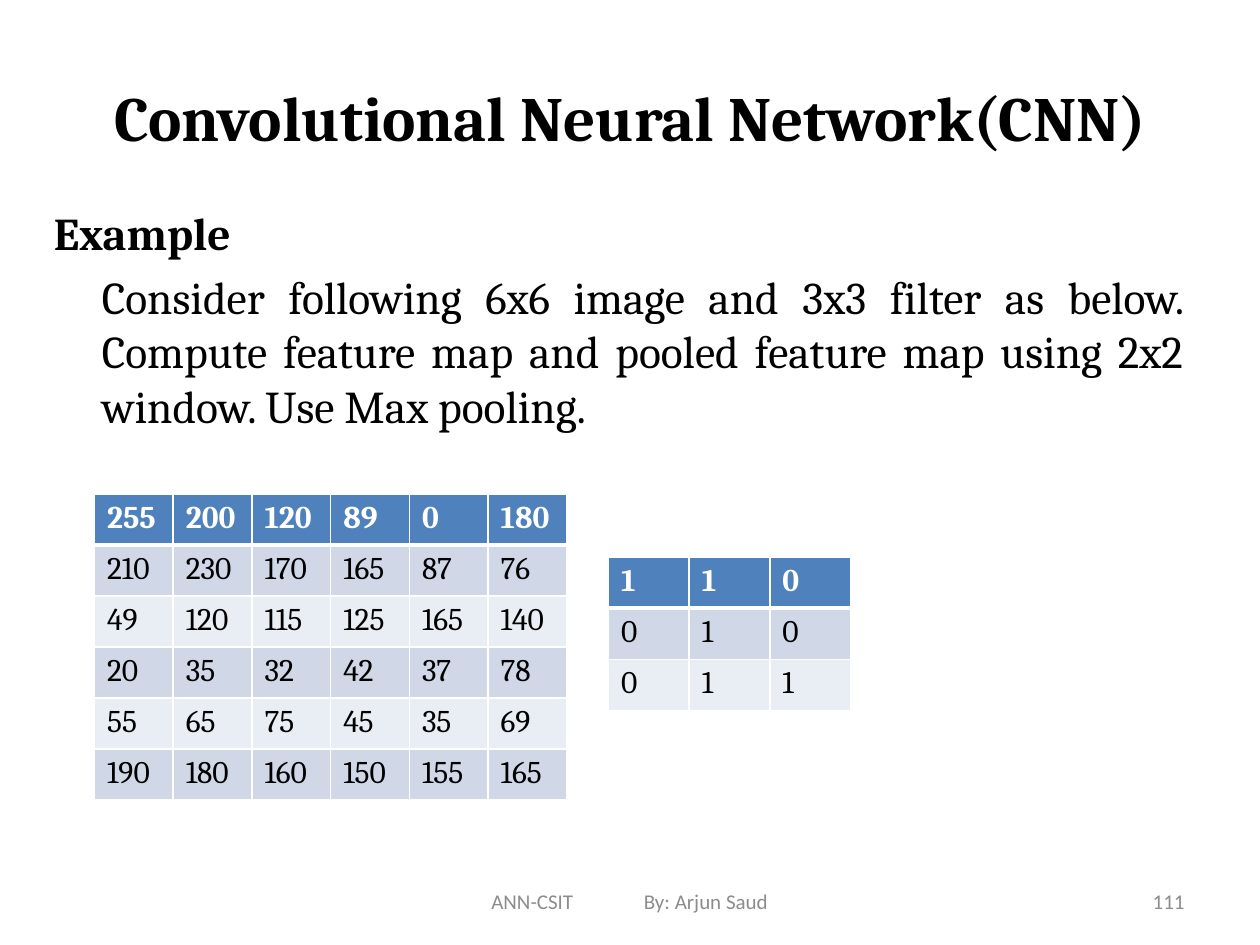
from collections import namedtuple
from dataclasses import dataclass

from lxml.etree import SubElement
from pptx import Presentation
from pptx.dml.color import RGBColor
from pptx.enum.text import MSO_ANCHOR as Anchor, PP_ALIGN as Align
from pptx.oxml import parse_xml
from pptx.oxml.ns import nsdecls, qn
from pptx.util import Inches, Pt

Box = namedtuple("Box", "left top width height")


@dataclass(frozen=True)
class Theme:
    """Colours, fonts and type sizes of the slide."""
    ink: str = "000000"
    white: str = "FFFFFF"
    muted: str = "8C8C8C"
    header: str = "4F81BD"
    bands: tuple = ("D0D8E8", "E9EDF4")
    serif: str = "Cambria"
    sans: str = "Calibri"
    title: int = 36
    body: int = 26
    cell: int = 18
    footer: int = 12


THEME = Theme()
IMAGE = [
    [255, 200, 120, 89, 0, 180],
    [210, 230, 170, 165, 87, 76],
    [49, 120, 115, 125, 165, 140],
    [20, 35, 32, 42, 37, 78],
    [55, 65, 75, 45, 35, 69],
    [190, 180, 160, 150, 155, 165],
]
FILTER = [[1, 1, 0], [0, 1, 0], [0, 1, 1]]


def inches(box):
    """Return the four lengths of a box as Inches."""
    return [Inches(length) for length in box]


def style(para, name, size, color, bold=False):
    """Set the font of a whole paragraph."""
    font = para.font
    font.name, font.size, font.bold = name, Pt(size), bold
    font.color.rgb = RGBColor.from_string(color)


def add_text(page, box, text, align, anchor=Anchor.MIDDLE):
    """Add a wrapping text box and return its frame and first paragraph."""
    frame = page.shapes.add_textbox(*inches(box)).text_frame
    frame.word_wrap = True
    frame.vertical_anchor = anchor
    para = frame.paragraphs[0]
    para.text, para.alignment = text, align
    return frame, para


def add_title(page, box):
    """Place the centred slide title."""
    para = add_text(page, box, "Convolutional Neural Network(CNN)", Align.CENTER)[1]
    style(para, THEME.serif, THEME.title, THEME.ink, bold=True)


def add_body(page, box):
    """Place the example heading and its indented task."""
    frame, heading = add_text(page, box, "Example", Align.JUSTIFY, Anchor.TOP)
    style(heading, THEME.serif, THEME.body, THEME.ink, bold=True)
    task = frame.add_paragraph()
    task.text = (
        "Consider following 6x6 image and 3x3 filter as below. Compute feature map "
        "and pooled feature map using 2x2 window. Use Max pooling."
    )
    task.alignment = Align.JUSTIFY
    task.space_before = Pt(5)
    task._p.get_or_add_pPr().set("marL", str(Inches(0.38)))
    style(task, THEME.serif, THEME.body, THEME.ink)


def add_footer(page, box):
    """Place the course and author, parted by a tab stop."""
    frame, para = add_text(page, box, "ANN-CSIT\tBy: Arjun Saud", Align.LEFT)
    frame.margin_left = Inches(0.48)
    tabs = SubElement(para._p.get_or_add_pPr(), qn("a:tabLst"))
    SubElement(tabs, qn("a:tab"), pos=str(Inches(1.21)), algn="l")
    style(para, THEME.sans, THEME.footer, THEME.muted)


def add_page_number(page, box):
    """Place the page number at the right."""
    para = add_text(page, box, "111", Align.RIGHT)[1]
    style(para, THEME.sans, THEME.footer, THEME.muted)


def set_borders(cell, top, bottom):
    """Draw white cell borders, with the given top and bottom widths."""
    widths = {"lnL": 1, "lnR": 1, "lnT": top, "lnB": bottom}
    for place, (tag, width) in enumerate(widths.items()):
        line = parse_xml(
            f'<a:{tag} {nsdecls("a")} w="{Pt(width)}"><a:solidFill>'
            f'<a:srgbClr val="{THEME.white}"/></a:solidFill></a:{tag}>'
        )
        cell._tc.get_or_add_tcPr().insert(place, line)


def add_matrix(page, box, values):
    """Place a number grid with a header row and banded rows."""
    table = page.shapes.add_table(len(values), len(values[0]), *inches(box)).table
    for row, numbers in enumerate(values):
        is_header = row == 0
        fill = THEME.header if is_header else THEME.bands[(row - 1) % 2]
        color = THEME.white if is_header else THEME.ink
        for column, number in enumerate(numbers):
            cell = table.cell(row, column)
            cell.text = str(number)
            cell.fill.solid()
            cell.fill.fore_color.rgb = RGBColor.from_string(fill)
            set_borders(cell, top=3 if row == 1 else 1, bottom=3 if is_header else 1)
            style(cell.text_frame.paragraphs[0], THEME.serif, THEME.cell, color, is_header)


def main():
    """Build the slide and save the deck."""
    deck = Presentation()
    deck.slide_width, deck.slide_height = Inches(10), Inches(7.5)
    page = deck.slides.add_slide(deck.slide_layouts[6])
    add_title(page, Box(0.5, 0.3, 9, 1.25))
    add_body(page, Box(0.33, 1.58, 9.17, 5.33))
    add_page_number(page, Box(7.17, 6.95, 2.33, 0.4))
    add_footer(page, Box(3.42, 6.95, 3.17, 0.4))
    add_matrix(page, Box(0.75, 3.92, 3.75, 2.43), IMAGE)
    add_matrix(page, Box(4.83, 4.42, 1.92, 1.22), FILTER)
    deck.save("out.pptx")


if __name__ == "__main__":
    main()
